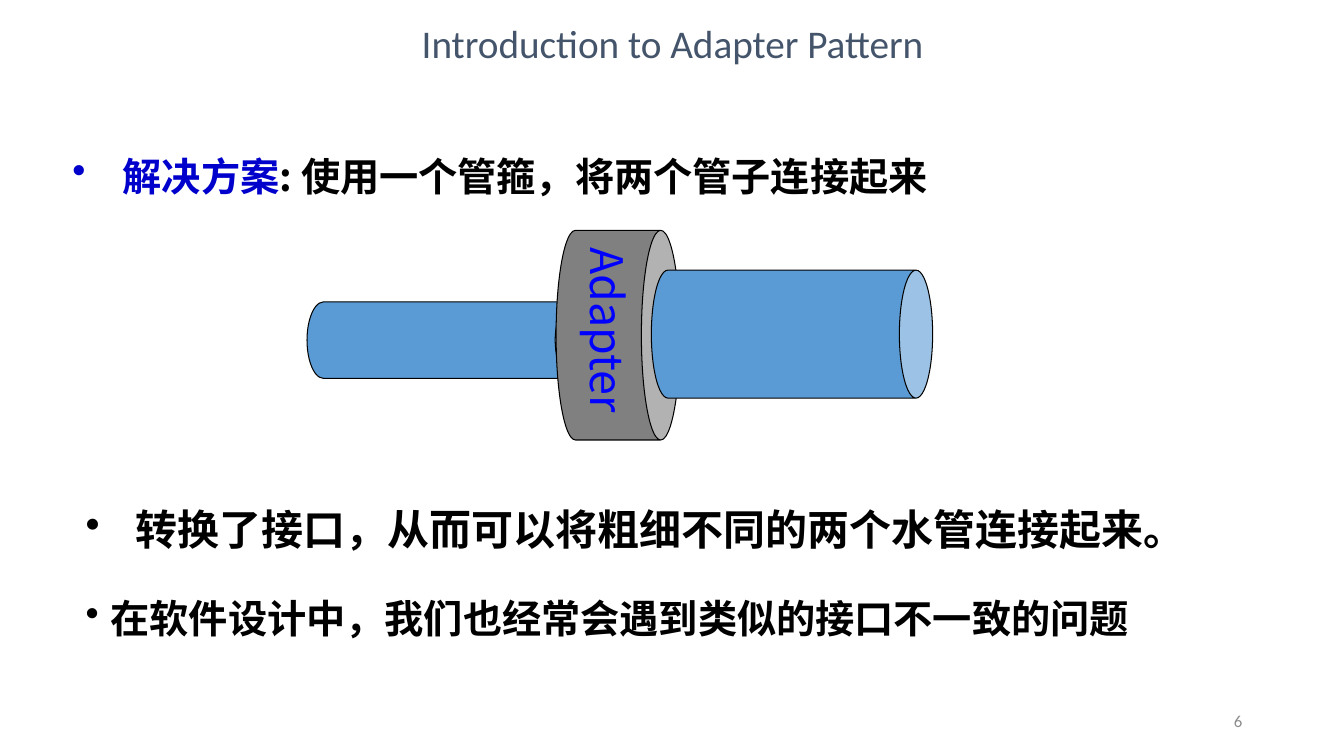
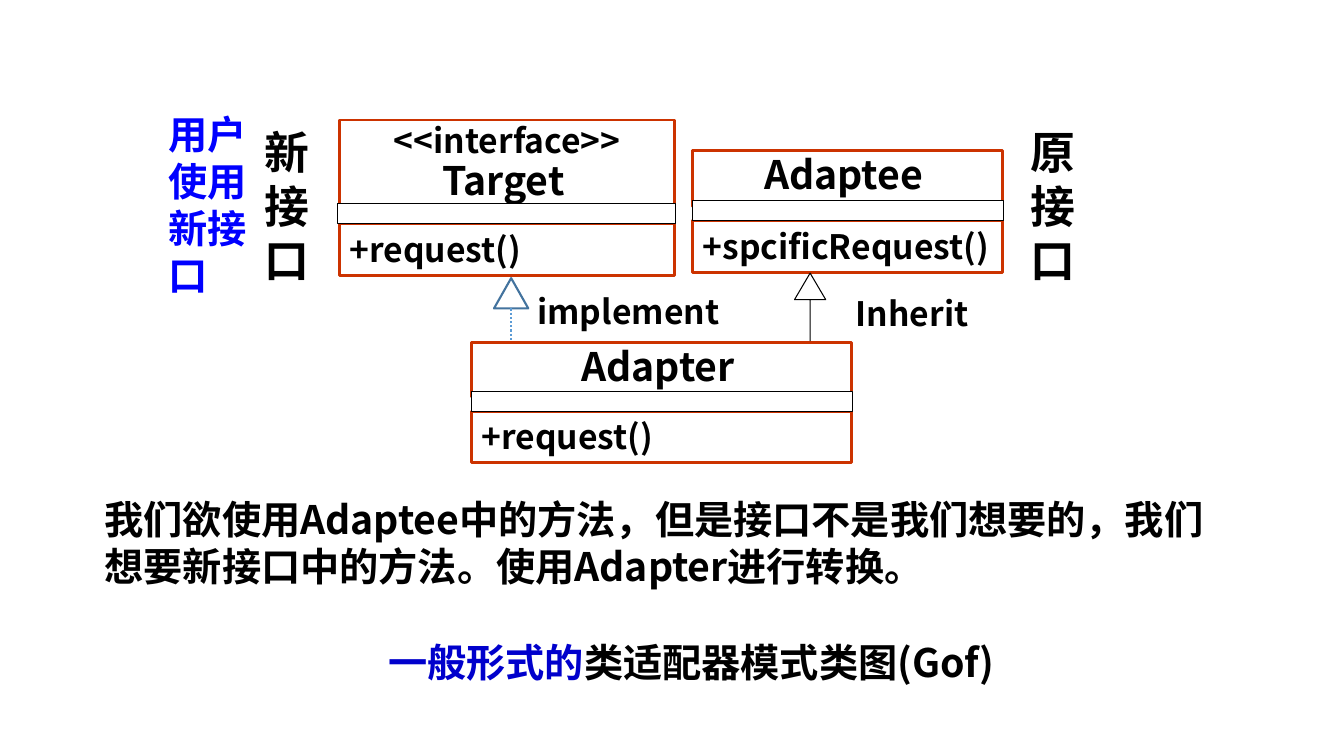
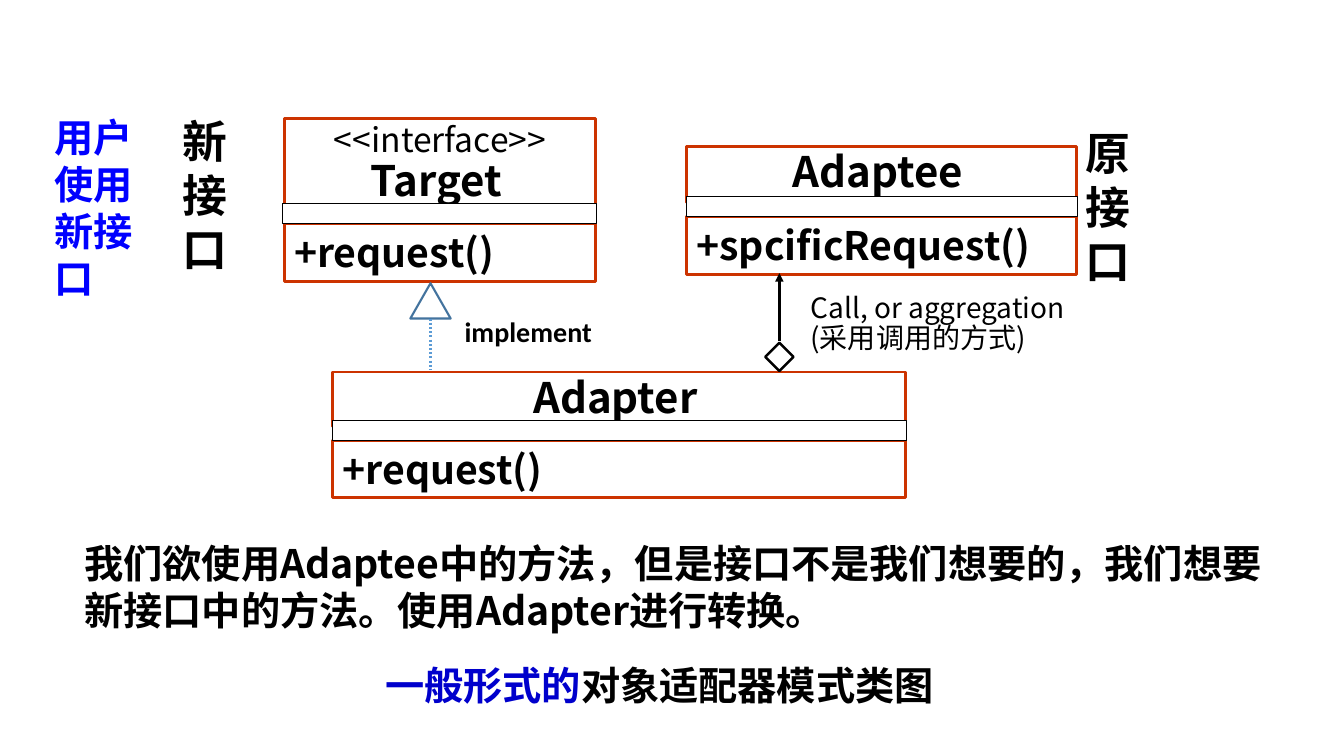
from dataclasses import dataclass
from lxml.etree import SubElement
from pptx import Presentation
from pptx.dml.color import RGBColor
from pptx.enum.dml import MSO_LINE
from pptx.enum.shapes import MSO_CONNECTOR, MSO_SHAPE
from pptx.enum.text import MSO_ANCHOR, PP_ALIGN
from pptx.oxml.ns import qn
from pptx.util import Inches, Pt


@dataclass(frozen=True)
class Theme:
    sans: str = "Calibri"
    cjk: str = "Noto Sans CJK SC"
    black: str = "000000"
    white: str = "FFFFFF"
    gray: str = "8C8C8C"
    slate: str = "44546A"
    navy: str = "0000CC"
    blue: str = "0000FF"
    red: str = "CC3300"
    pipe: str = "5B9BD5"
    steel: str = "808080"
    edge: str = "43739E"
    tiny: int = 12
    note: int = 20
    small: int = 24
    body: int = 28
    large: int = 30
    huge: int = 32


T = Theme()
LEFT, MID, RIGHT = PP_ALIGN.LEFT, PP_ALIGN.CENTER, PP_ALIGN.RIGHT


# Text
def run(text, size=T.body, color=T.black, bold=True, font=T.cjk):
    return text, size, color, bold, font


def write(shape, paras, align=LEFT, anchor=MSO_ANCHOR.TOP, space=None,
          hang=0, wrap=True):
    """Fill a shape with paragraphs, each one a list of runs."""
    frame = shape.text_frame
    frame.word_wrap = wrap
    frame.vertical_anchor = anchor
    for i, runs in enumerate(paras):
        para = frame.add_paragraph() if i else frame.paragraphs[0]
        para.alignment = align
        if space:
            para.line_spacing = space
        if hang:
            props = para._p.get_or_add_pPr()
            props.set("marL", str(Inches(hang)))
            props.set("indent", str(-Inches(hang)))
            SubElement(props, qn("a:buChar")).set("char", "•")
        for text, size, color, bold, font in runs:
            part = para.add_run()
            part.text = text
            part.font.size = Pt(size)
            part.font.bold = bold
            part.font.color.rgb = RGBColor.from_string(color)
            part.font.name = font
            SubElement(part._r.get_or_add_rPr(), qn("a:ea")).set("typeface", font)


def label(slide, box, paras, **style):
    write(slide.shapes.add_textbox(*map(Inches, box)), paras, **style)


# Shapes and lines
def draw(slide, kind, box, fill, line=T.black, width=0.75, adjust=(), turn=0):
    shape = slide.shapes.add_shape(kind, *map(Inches, box))
    shape.shadow.inherit = False
    if fill:
        shape.fill.solid()
        shape.fill.fore_color.rgb = RGBColor.from_string(fill)
    else:
        shape.fill.background()
    shape.line.color.rgb = RGBColor.from_string(line)
    shape.line.width = Pt(width)
    for i, value in enumerate(adjust):
        shape.adjustments[i] = value
    shape.rotation = turn
    return shape


def link(slide, x, top, end, color, width, dash=None, head=False):
    """Draw a vertical line, with an arrowhead at its end if asked."""
    line = slide.shapes.add_connector(
        MSO_CONNECTOR.STRAIGHT, *map(Inches, (x, top, x, end)))
    line.line.color.rgb = RGBColor.from_string(color)
    line.line.width = Pt(width)
    if dash:
        line.line.dash_style = dash
    if head:
        SubElement(line.line._get_or_add_ln(), qn("a:tailEnd")).set("type", "triangle")
    SubElement(line._element.spPr, qn("a:effectLst"))


# Class diagram parts
def model(slide, x, top, width, bar, rows, call, size, out=0):
    """Class box: name rows, empty bar starting at `bar`, one operation."""
    deep = 0.2
    tall = 0.51 if size == T.small else 0.57
    foot = draw(slide, MSO_SHAPE.RECTANGLE, (x, bar + deep, width, tall),
                T.white, T.red, 2)
    write(foot, [[run(call, size)]])
    name = draw(slide, MSO_SHAPE.RECTANGLE, (x, top, width, bar - top + 0.06),
                T.white, T.red, 2)
    write(name, rows, align=MID, space=0.9)
    draw(slide, MSO_SHAPE.RECTANGLE, (x - out, bar, width + out + 0.01, deep),
         T.white)


def title(text, size):
    return [run(text, size), run(" ", T.small)]


def realize(slide, x, top, width, height, end):
    """Hollow triangle over a dotted line."""
    draw(slide, MSO_SHAPE.FLOWCHART_EXTRACT, (x, top, width, height),
         None, T.edge, 1.5)
    link(slide, x + width / 2, top + height, end, T.pipe, 1.5,
         MSO_LINE.ROUND_DOT)


def sides(slide, user, new, old):
    """Upright captions beside the classes, each at (left, top)."""
    label(slide, (*old, 0.79, 1.72), [[run(c, T.huge)] for c in "原接口"])
    label(slide, (*new, 0.67, 1.72), [[run(c, T.huge)] for c in "新接口"])
    label(slide, (*user, 1.04, 1.99),
          [[run(t, color=T.blue)] for t in ("用户", "使用", "新接", "口")])


def closing(slide, box, foot, kind):
    """Explanation and the caption of the diagram."""
    label(slide, box, [[run("我们欲使用Adaptee中的方法，但是接口不是我们想要的，"
                            "我们想要新接口中的方法。使用Adapter进行转换。")]])
    label(slide, foot, [[run("一般形式的", color=T.navy), run(kind)]], align=MID)


# Slides
def pipes(slide, x, y):
    """Two pipes joined by a collar; x, y is the drawing's top left."""
    parts = (
        (1.02, -0.30, 0.76, 2.79, 0.433, T.pipe),
        (2.05, 0.43, 2.08, 1.23, 0.312, T.steel),
        (4.18, -0.36, 1.27, 2.79, 0.26, T.pipe),
    )
    for left, top, width, height, bend, fill in parts:
        can = draw(slide, MSO_SHAPE.CAN, (x + left, y + top, width, height),
                   fill, adjust=[bend], turn=90)
        if fill == T.steel:
            write(can, [[run("Adapter ", T.huge, T.blue, False)]],
                  align=MID, anchor=MSO_ANCHOR.MIDDLE, wrap=False)


def intro(slide):
    label(slide, (9.42, 6.95, 3, 0.4),
          [[run("6", T.tiny, T.gray, False, T.sans)]],
          align=RIGHT, anchor=MSO_ANCHOR.MIDDLE)
    label(slide, (2.17, 0.08, 9, 0.7),
          [[run("Introduction to Adapter Pattern", T.body, T.slate, False, T.sans)]],
          align=MID, anchor=MSO_ANCHOR.MIDDLE)
    label(slide, (0.62, 1.46, 9.31, 0.57),
          [[run("解决方案", color=T.navy),
            run(": 使用一个管箍，将两个管子连接起来")]], hang=0.5)
    pipes(slide, 3.04, 2.28)
    label(slide, (0.75, 4.95, 11.5, 0.61),
          [[run("转换了接口，从而可以将粗细不同的两个水管连接起来。", T.large)]], hang=0.5)
    label(slide, (0.75, 5.9, 10.9, 0.73),
          [[run("在软件设计中，我们也经常会遇到类似的接口不一致的问题")]],
          hang=0.25, space=0.9)


def inherit(slide):
    model(slide, 3.37, 1.19, 3.32, 2.02,
          [[run("<<interface>>", T.small)], title("Target", T.body)],
          "+request()", T.small, out=0.02)
    model(slide, 6.87, 1.49, 3.07, 1.99, [title("Adaptee", T.body)],
          "+spcificRequest()", T.small)
    model(slide, 4.68, 3.4, 3.77, 3.88, [title("Adapter", T.body)],
          "+request()", T.small)
    label(slide, (8.39, 2.86, 1.86, 0.5), [[run("Inherit", T.small)]])
    label(slide, (5.23, 2.84, 2.18, 0.5), [[run("implement", T.small)]])
    sides(slide, (1.57, 1.04), (2.53, 1.19), (10.12, 1.19))
    draw(slide, MSO_SHAPE.UP_ARROW, (7.88, 2.71, 0.31, 0.67), T.white,
         adjust=(0, 0.851))
    realize(slide, 4.9, 2.76, 0.34, 0.3, 3.39)
    closing(slide, (0.94, 4.86, 11.28, 1.04), (3.2, 6.28, 7.31, 0.57),
            "类适配器模式类图(Gof)")


def compose(slide):
    model(slide, 2.82, 1.18, 3.09, 2.02,
          [[run("<<interface>>", T.small, bold=False)], title("Target", T.large)],
          "+request()", T.body, out=0.02)
    model(slide, 6.81, 1.45, 3.87, 1.95, [title("Adaptee", T.large)],
          "+spcificRequest()", T.body)
    model(slide, 3.3, 3.69, 5.68, 4.17, [title("Adapter", T.large)],
          "+request()", T.body)
    label(slide, (4.51, 3.07, 1.77, 0.44),
          [[run("implement", T.note, font=T.sans)]])
    sides(slide, (0.44, 1.07), (1.71, 1.08), (10.67, 1.2))
    # Aggregation
    link(slide, 7.73, 3.38, 2.71, T.black, 2, head=True)
    draw(slide, MSO_SHAPE.DIAMOND, (7.59, 3.4, 0.28, 0.28), T.white, width=1.75)
    label(slide, (7.94, 2.87, 3.2, 0.71),
          [[run(t, T.note, bold=False)]
           for t in ("Call, or aggregation", "(采用调用的方式)")], space=0.9)
    realize(slide, 4.07, 2.81, 0.4, 0.35, 3.67)
    closing(slide, (0.74, 5.3, 11.97, 1.04), (2.5, 6.51, 8.08, 0.57),
            "对象适配器模式类图")


def main():
    deck = Presentation()
    deck.slide_width, deck.slide_height = Inches(13.33), Inches(7.5)
    for build in (intro, inherit, compose):
        build(deck.slides.add_slide(deck.slide_layouts[6]))
    deck.save("out.pptx")


if __name__ == "__main__":
    main()
